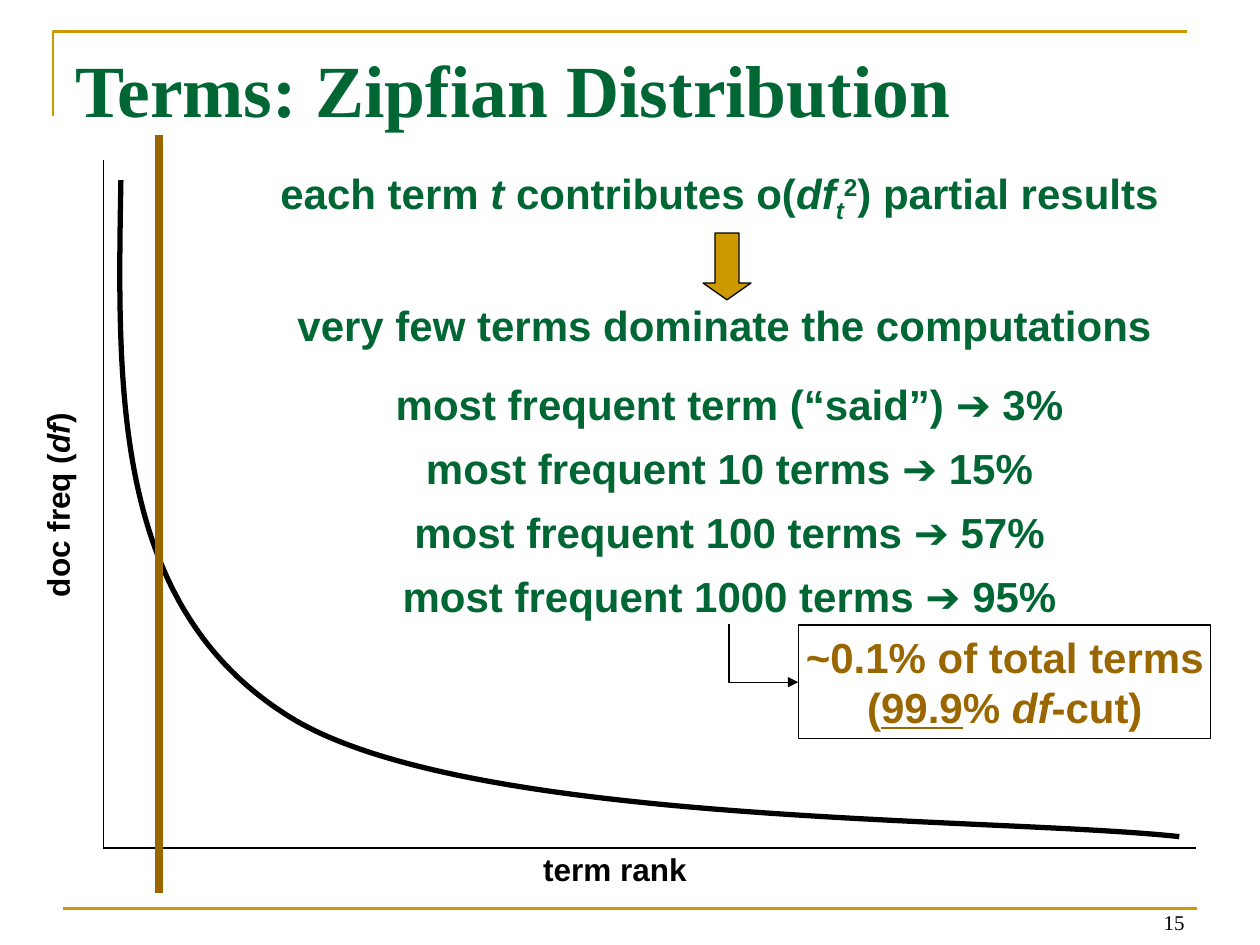
from dataclasses import dataclass, field
from typing import Any

from lxml import etree
from pptx import Presentation
from pptx.dml.color import RGBColor
from pptx.enum.shapes import MSO_CONNECTOR, MSO_SHAPE
from pptx.enum.text import MSO_ANCHOR, PP_ALIGN
from pptx.oxml.ns import qn
from pptx.util import Inches, Pt

GREEN = RGBColor(0x00, 0x66, 0x33)
GOLD = RGBColor(0xCC, 0x99, 0x00)
BROWN = RGBColor(0x99, 0x66, 0x00)
BLACK = RGBColor(0x00, 0x00, 0x00)
LEFT, CENTER, RIGHT = PP_ALIGN.LEFT, PP_ALIGN.CENTER, PP_ALIGN.RIGHT
TOP, BOTTOM = MSO_ANCHOR.TOP, MSO_ANCHOR.BOTTOM
STRAIGHT, ELBOW = MSO_CONNECTOR.STRAIGHT, MSO_CONNECTOR.ELBOW
RECTANGLE, DOWN_ARROW = MSO_SHAPE.RECTANGLE, MSO_SHAPE.DOWN_ARROW

Point = tuple[float, float]
BREAK = "\n"


@dataclass(frozen=True)
class Span:
    text: str
    italic: bool = False
    underline: bool = False
    baseline: int = 0


@dataclass(frozen=True)
class Style:
    size: float = 24
    color: RGBColor = GREEN
    name: str = "Arial"
    bold: bool = True
    align: Any = CENTER
    anchor: Any = TOP
    side_inset: float = 0
    format: dict[str, Any] = field(default_factory=dict)


@dataclass(frozen=True)
class TextBox:
    at: tuple[float, float, float, float]
    lines: list[list[Span]]
    style: Style
    rotation: float = 0


@dataclass(frozen=True)
class Line:
    start: Point
    end: Point
    color: RGBColor
    width: float


BODY = Style()
LIST = Style(format={"line_spacing": 0.75})
TITLE = Style(42, name="Times New Roman", align=LEFT, side_inset=0.1)
AXIS = Style(18, BLACK, side_inset=0.1)
NUMBER = Style(12, BLACK, "Times New Roman", False, RIGHT, BOTTOM, 0.1)
CALLOUT = Style(color=BROWN)

SHARES = [("term (“said”)", 3), ("10 terms", 15), ("100 terms", 57), ("1000 terms", 95)]

TEXT_BOXES = [
    TextBox((0.5, 0.3, 9, 1.25), [[Span("Terms: Zipfian Distribution")]], TITLE),
    TextBox((3.27, 6.7, 3.22, 0.4), [[Span("term rank")]], AXIS),
    TextBox((-0.7, 3.81, 2.31, 0.4),
            [[Span("doc freq ("), Span("df", italic=True), Span(")")]], AXIS, 270),
    TextBox((2.1, 1.28, 7.22, 0.56),
            [[Span("each term "), Span("t", italic=True), Span(" contributes o("),
              Span("df", italic=True), Span("t", italic=True, baseline=-25000),
              Span("2", baseline=30000), Span(") partial results")]], BODY),
    TextBox((2.14, 2.33, 7.22, 0.5),
            [[Span("very few terms dominate the computations")]], BODY),
    TextBox((2.18, 3.05, 7.22, 1.93),
            [[Span(f"most frequent {terms} ➔ {share}%")] for terms, share in SHARES], LIST),
    TextBox((7.17, 6.97, 2.33, 0.5), [[Span("15")]], NUMBER),
]
CALLOUT_LINES = [[Span("~0.1% of total terms"), Span(BREAK), Span("("),
                  Span("99.9", underline=True), Span("% "),
                  Span("df", italic=True), Span("-cut)")]]

FOOTER_RULE = Line((0.5, 7.21), (9.5, 7.21), GOLD, 1.5)
AXES = [
    Line((0.82, 6.73), (9.49, 6.73), BLACK, 1),
    Line((0.82, 6.72), (0.82, 1.27), BLACK, 0.75),
]
CUT_LINE = Line((1.26, 1.07), (1.26, 7.09), BROWN, 4.5)
TITLE_FRAME = [(0.42, 0.92), (0.42, 0.25), (9.42, 0.25)]
ZIPF_CURVE = [(0.96, 1.43), (0.93, 3.13), (0.9, 4.82), (2.3, 5.69),
              (3.7, 6.56), (7.86, 6.48), (9.36, 6.64)]


def apply_format(target: Any, values: dict[str, Any]) -> None:
    for name, value in values.items():
        setattr(target, name, value)


def set_line(shape: Any, color: RGBColor, width: float) -> None:
    shape.line.color.rgb = color
    shape.line.width = Pt(width)


def write_text(shape: Any, lines: list[list[Span]], style: Style) -> None:
    frame = shape.text_frame
    apply_format(frame, {
        "word_wrap": True, "vertical_anchor": style.anchor,
        "margin_left": Inches(style.side_inset), "margin_right": Inches(style.side_inset),
        "margin_top": Inches(0.05), "margin_bottom": Inches(0.05),
    })
    for index, spans in enumerate(lines):
        para = frame.add_paragraph() if index else frame.paragraphs[0]
        apply_format(para, {"alignment": style.align,
                            "space_before": Pt(15 if index else 0), **style.format})
        for span in spans:
            if span.text == BREAK:
                para.add_line_break()
                continue
            run = para.add_run()
            run.text = span.text
            apply_format(run.font, {
                "name": style.name, "size": Pt(style.size), "bold": style.bold,
                "italic": span.italic, "underline": span.underline,
            })
            run.font.color.rgb = style.color
            if span.baseline:
                run._r.get_or_add_rPr().set("baseline", str(span.baseline))


def add_text_box(page: Any, box: TextBox) -> None:
    shape = page.shapes.add_textbox(*map(Inches, box.at))
    shape.rotation = box.rotation
    write_text(shape, box.lines, box.style)


def add_line(page: Any, line: Line, kind: Any = STRAIGHT) -> Any:
    connector = page.shapes.add_connector(kind, *map(Inches, line.start + line.end))
    set_line(connector, line.color, line.width)
    etree.SubElement(connector._element.spPr, qn("a:effectLst"))
    return connector


def add_outline(page: Any, points: list[Point], color: RGBColor, width: float) -> Any:
    start, *rest = [(Inches(x), Inches(y)) for x, y in points]
    builder = page.shapes.build_freeform(*start)
    builder.add_line_segments(rest, close=False)
    shape = builder.convert_to_shape()
    shape.shadow.inherit = False
    shape.fill.background()
    set_line(shape, color, width)
    return shape


def bend_segments(shape: Any) -> None:
    outline = shape._element.find(".//" + qn("a:path"))
    segments = outline.findall(qn("a:lnTo"))
    for first in range(0, len(segments), 3):
        curve = etree.SubElement(outline, qn("a:cubicBezTo"))
        for segment in segments[first:first + 3]:
            curve.append(segment[0])
            outline.remove(segment)


def add_down_arrow(page: Any) -> None:
    arrow = page.shapes.add_shape(DOWN_ARROW, *map(Inches, (5.58, 1.85, 0.38, 0.53)))
    arrow.shadow.inherit = False
    arrow.adjustments[1] = 0.35
    arrow.fill.solid()
    arrow.fill.fore_color.rgb = GOLD
    set_line(arrow, BLACK, 0.75)


def add_callout(page: Any) -> None:
    callout = page.shapes.add_shape(RECTANGLE, *map(Inches, (6.34, 4.96, 3.27, 0.9)))
    callout.shadow.inherit = False
    callout.fill.background()
    set_line(callout, BLACK, 0.75)
    write_text(callout, CALLOUT_LINES, CALLOUT)

    elbow = add_line(page, Line((6.29, 4.91), (5.83, 5.46), BLACK, 0.75), ELBOW)
    properties = elbow._element.spPr
    properties.find(qn("a:prstGeom")).set("prst", "bentConnector2")
    properties.find(qn("a:xfrm")).set("rot", str(270 * 60000))
    etree.SubElement(elbow.line._get_or_add_ln(), qn("a:tailEnd"), type="triangle")


def main() -> None:
    deck = Presentation()
    deck.slide_width, deck.slide_height = Inches(10), Inches(7.5)
    page = deck.slides.add_slide(deck.slide_layouts[6])
    add_outline(page, TITLE_FRAME, GOLD, 1.5)
    for line in [FOOTER_RULE, *AXES]:
        add_line(page, line)
    bend_segments(add_outline(page, ZIPF_CURVE, BLACK, 3))
    for box in TEXT_BOXES:
        add_text_box(page, box)
    add_down_arrow(page)
    add_line(page, CUT_LINE)
    add_callout(page)
    deck.save("out.pptx")


if __name__ == "__main__":
    main()
